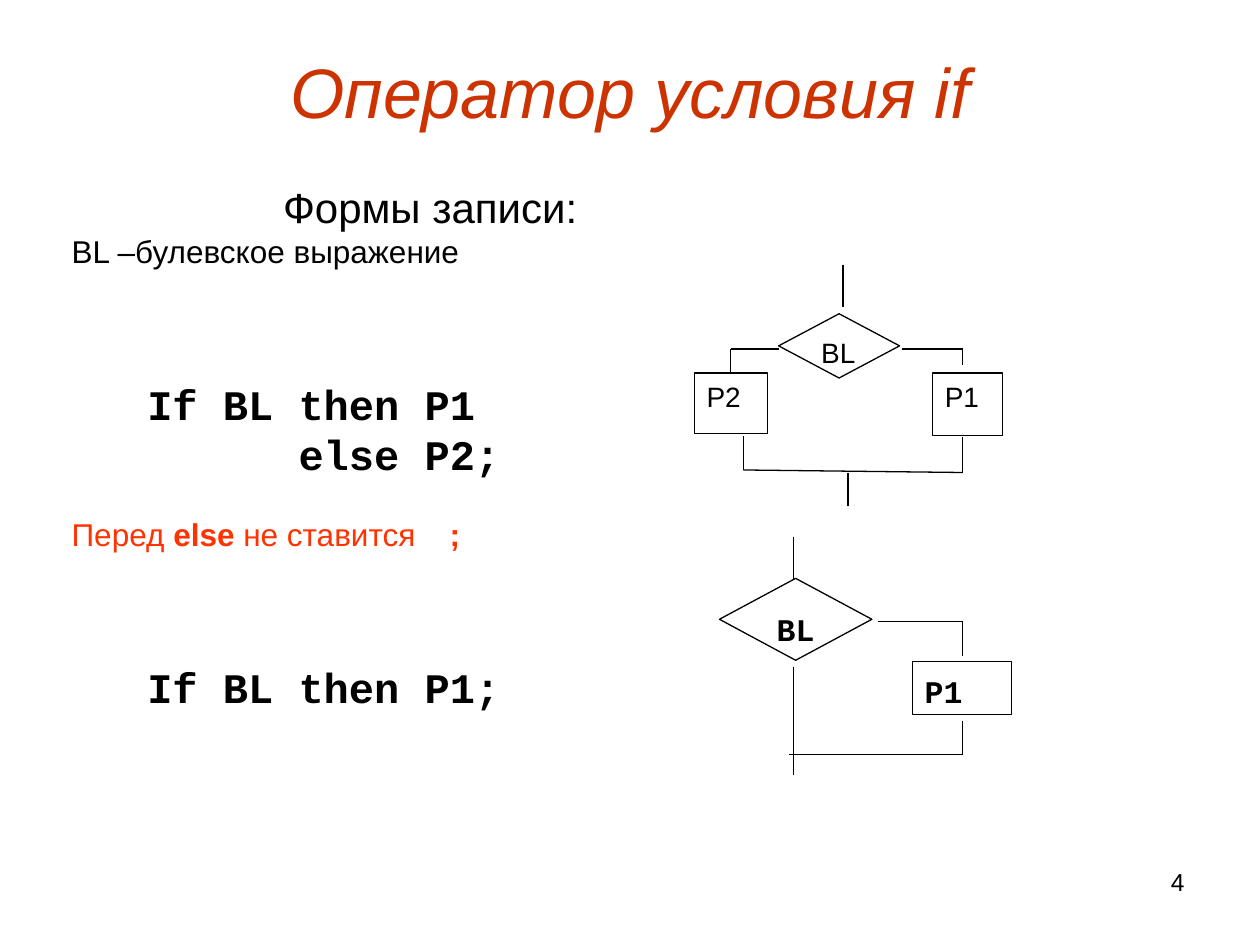
from dataclasses import dataclass
from itertools import pairwise

from lxml.etree import SubElement
from pptx import Presentation
from pptx.dml.color import RGBColor
from pptx.enum.shapes import MSO_CONNECTOR, MSO_SHAPE
from pptx.enum.text import MSO_ANCHOR as Anchor, PP_ALIGN as Align
from pptx.oxml.ns import qn
from pptx.util import Inches, Pt


@dataclass(frozen=True)
class Theme:
    ink: RGBColor = RGBColor(0x00, 0x00, 0x00)
    paper: RGBColor = RGBColor(0xFF, 0xFF, 0xFF)
    heading: RGBColor = RGBColor(0xCC, 0x33, 0x00)
    warning: RGBColor = RGBColor(0xFF, 0x33, 0x00)
    sans: str = "Arial"
    mono: str = "Courier New"
    title_size: int = 40
    large_size: int = 24
    body_size: int = 18
    label_size: int = 16
    number_size: int = 14
    line_width: float = 0.75


THEME = Theme()


def style(paragraph, size, name=THEME.sans, color=THEME.ink, bold=False, italic=False):
    font = paragraph.font
    font.size, font.name = Pt(size), name
    font.bold, font.italic = bold, italic
    font.color.rgb = color


def add_frame(slide, left, top, width, height, anchor=Anchor.TOP):
    box = slide.shapes.add_textbox(*map(Inches, (left, top, width, height)))
    frame = box.text_frame
    frame.word_wrap = True
    frame.vertical_anchor = anchor
    return frame


def add_line_of_text(frame, text, size, align=Align.LEFT, before=0, **look):
    """Fill the first paragraph of the frame, or append another one."""
    paragraph = frame.paragraphs[0]
    if paragraph.runs:
        paragraph = frame.add_paragraph()
    paragraph.alignment = align
    if before:
        paragraph.space_before = Pt(before)
    paragraph.add_run().text = text
    style(paragraph, size, **look)


def add_warning(frame, before):
    paragraph = frame.add_paragraph()
    paragraph.space_before = Pt(before)
    tabs = SubElement(paragraph._p.get_or_add_pPr(), qn("a:tabLst"))
    SubElement(tabs, qn("a:tab"), pos=str(Inches(3)), algn="l")
    style(paragraph, THEME.body_size, color=THEME.warning)
    for text, bold in (("Перед ", False), ("else ", True),
                       ("не ставится\t", False), (";", True)):
        run = paragraph.add_run()
        run.text = text
        run.font.bold = bold


def add_block(group, kind, text, left, top, width, height,
              align=Align.LEFT, spacing=None, **look):
    block = group.shapes.add_shape(kind, *map(Inches, (left, top, width, height)))
    block.shadow.inherit = False
    block.fill.solid()
    block.fill.fore_color.rgb = THEME.paper
    block.line.color.rgb = THEME.ink
    block.line.width = Pt(THEME.line_width)
    frame = block.text_frame
    frame.vertical_anchor = Anchor.TOP
    add_line_of_text(frame, text, align=align, **look)
    if spacing:
        frame.paragraphs[0].line_spacing = spacing
    return block


def add_path(group, *points):
    """Join the points by straight connectors and return the last one."""
    for start, end in pairwise(points):
        connector = group.shapes.add_connector(
            MSO_CONNECTOR.STRAIGHT, *map(Inches, (*start, *end)))
        connector.line.color.rgb = THEME.ink
        connector.line.width = Pt(THEME.line_width)
        SubElement(connector._element.spPr, qn("a:effectLst"))
    return connector


def add_explanation(slide):
    blank_line = THEME.body_size * 1.15
    code = {"size": THEME.large_size, "name": THEME.mono, "bold": True}
    frame = add_frame(slide, 0.47, 1.39, 4.21, 4.4)
    add_line_of_text(frame, "Формы записи:", THEME.large_size, Align.RIGHT)
    add_line_of_text(frame, "BL –булевское выражение", THEME.body_size)
    add_line_of_text(frame, "   If BL then P1", before=3 * blank_line, **code)
    add_line_of_text(frame, "         else P2;", **code)
    add_warning(frame, before=blank_line)
    add_line_of_text(frame, "   If BL then P1;", before=3 * blank_line, **code)


def add_full_branch(slide):
    group = slide.shapes.add_group_shape()
    label = {"size": THEME.label_size}
    add_block(group, MSO_SHAPE.FLOWCHART_DECISION, "BL", 6.18, 2.49, 0.96, 0.51, **label)
    else_block = add_block(group, MSO_SHAPE.RECTANGLE, "P2", 5.51, 2.96, 0.58, 0.48, **label)
    add_block(group, MSO_SHAPE.RECTANGLE, "P1", 7.4, 2.96, 0.56, 0.5, **label)

    add_path(group, (6.69, 2.1), (6.69, 2.44))
    add_path(group, (7.16, 2.77), (7.64, 2.77), (7.64, 2.9))
    to_else = add_path(group, (6.18, 2.77), (5.8, 2.77), (5.8, 2.96))
    to_else.end_connect(else_block, 0)
    add_path(group, (7.64, 3.47), (7.64, 3.75), (5.9, 3.73), (5.9, 3.46))
    add_path(group, (6.73, 3.75), (6.73, 4.02))


def add_short_branch(slide):
    group = slide.shapes.add_group_shape()
    label = {"size": THEME.body_size, "name": THEME.mono, "bold": True, "spacing": 1.12}
    add_block(group, MSO_SHAPE.FLOWCHART_DECISION, "BL", 5.71, 4.59, 1.21, 0.65,
              align=Align.CENTER, **label)
    add_block(group, MSO_SHAPE.RECTANGLE, "P1", 7.24, 5.25, 0.79, 0.42, **label)

    add_path(group, (6.3, 4.26), (6.3, 4.6))
    add_path(group, (6.97, 4.93), (7.64, 4.93), (7.64, 5.21))
    add_path(group, (7.64, 5.72), (7.64, 5.99), (6.26, 5.99))
    add_path(group, (6.3, 5.29), (6.3, 6.15))


def main():
    deck = Presentation()
    deck.slide_width, deck.slide_height = Inches(10), Inches(7.5)
    slide = deck.slides.add_slide(deck.slide_layouts[6])

    # Title
    title = add_frame(slide, 0.5, 0.33, 9, 0.78, Anchor.MIDDLE)
    add_line_of_text(title, "Оператор условия if", THEME.title_size, Align.CENTER,
                     color=THEME.heading, italic=True)

    # Two forms of the statement and their flowcharts
    add_explanation(slide)
    add_full_branch(slide)
    add_short_branch(slide)

    # Slide number
    number = add_frame(slide, 7.17, 6.83, 2.33, 0.52)
    add_line_of_text(number, "4", THEME.number_size, Align.RIGHT)

    deck.save("out.pptx")


if __name__ == "__main__":
    main()
